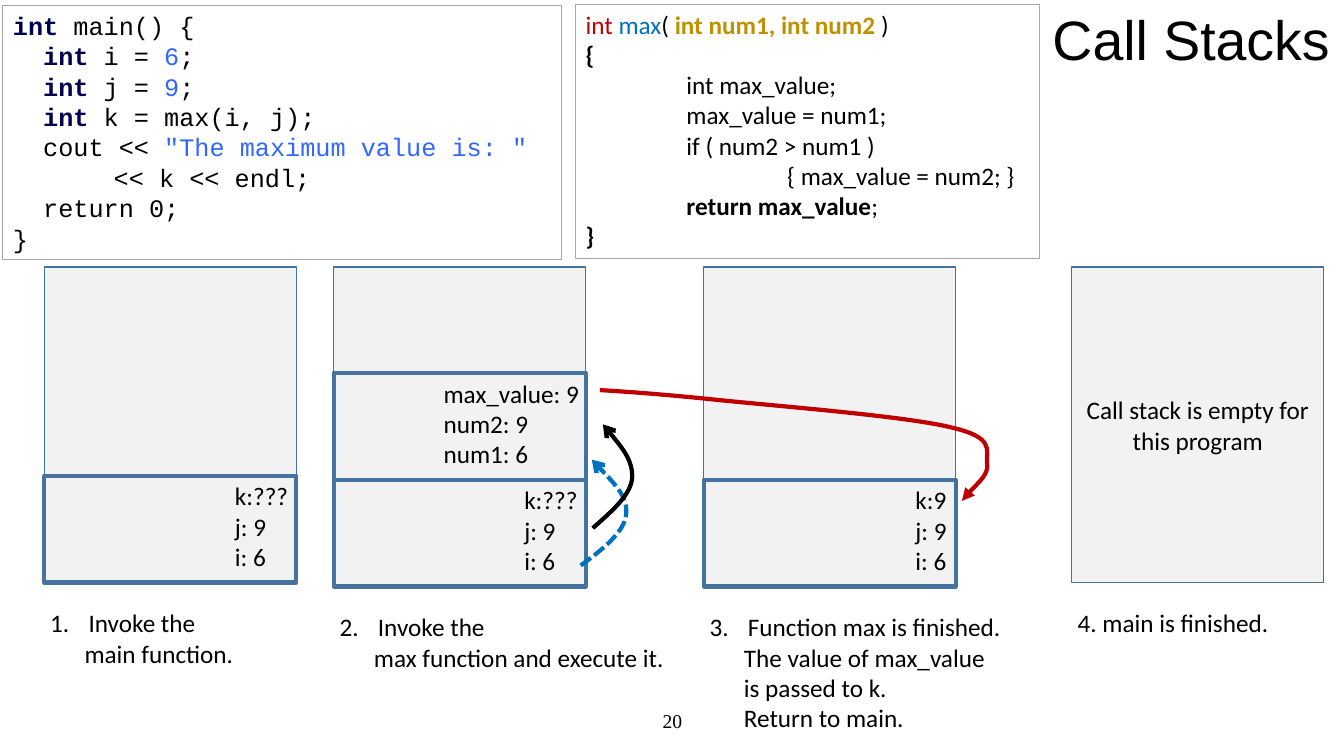
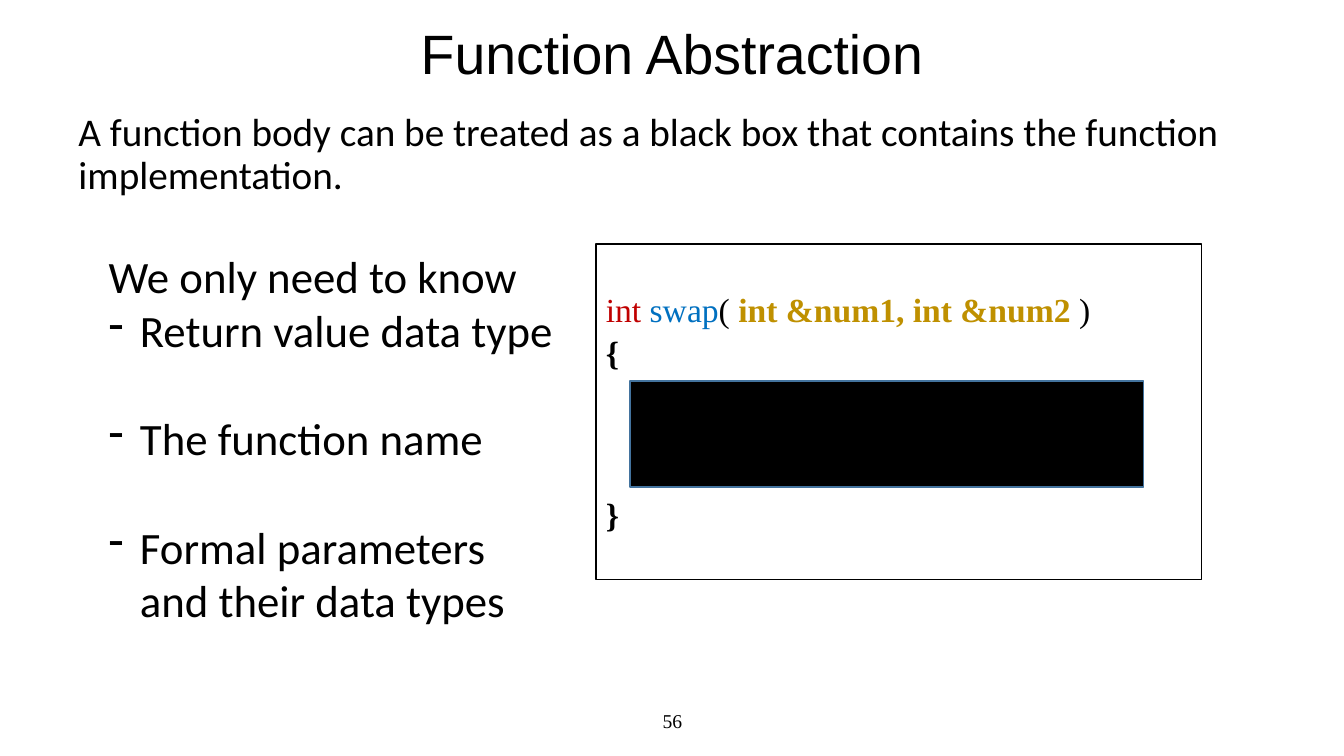
from collections import namedtuple

from lxml.etree import SubElement
from pptx import Presentation
from pptx.dml.color import RGBColor
from pptx.enum.dml import MSO_LINE
from pptx.enum.shapes import MSO_SHAPE
from pptx.enum.text import MSO_ANCHOR, PP_ALIGN
from pptx.oxml.ns import qn
from pptx.util import Inches, Pt

BLACK = RGBColor(0x00, 0x00, 0x00)
NAVY = RGBColor(0x00, 0x00, 0x50)
LITERAL = RGBColor(0x33, 0x66, 0xFF)
RED = RGBColor(0xC0, 0x00, 0x00)
BLUE = RGBColor(0x00, 0x70, 0xC0)
GOLD = RGBColor(0xBF, 0x90, 0x00)
PALE = RGBColor(0xF2, 0xF2, 0xF2)
GREY = RGBColor(0xA6, 0xA6, 0xA6)
STEEL = RGBColor(0x43, 0x73, 0x9E)

SANS, SERIF, MONO, TITLE = "Calibri", "Times New Roman", "Courier New", "Arial"
WIDTH, HEIGHT = 13.33, 7.5
FRAME_H = 1.06
STACK_W, STACK_TOP = 2.5, 2.65

Box = namedtuple("Box", "x y w h")
Para = namedtuple("Para", "runs indent hang bullet before", defaults=(0, 0, None, 0))


def emu(box):
    return [Inches(v) for v in box]


def write(tf, paras, font, size, align=PP_ALIGN.LEFT, spacing=None):
    """Fill a text frame; a run is a string or a (text, colour, bold) tuple."""
    for i, para in enumerate(paras):
        if isinstance(para, str):
            para = Para([para])
        p = tf.paragraphs[0] if i == 0 else tf.add_paragraph()
        p.alignment = align
        p.line_spacing = spacing
        p.space_before = Pt(para.before)
        pPr = p._p.get_or_add_pPr()
        pPr.set("marL", str(Inches(para.indent)))
        pPr.set("indent", str(-Inches(para.hang)))
        if isinstance(para.bullet, int):
            SubElement(pPr, qn("a:buAutoNum"), type="arabicPeriod", startAt=str(para.bullet))
        elif para.bullet:
            SubElement(pPr, qn("a:buChar"), char=para.bullet)
        for run in para.runs:
            text, color, bold = (run, BLACK, False) if isinstance(run, str) else run
            r = p.add_run()
            r.text = text
            r.font.name, r.font.size, r.font.bold = font, Pt(size), bold
            r.font.color.rgb = color


def add_text(s, box, paras, font, size, anchor=MSO_ANCHOR.TOP, wrap=True, **style):
    tf = s.shapes.add_textbox(*emu(box)).text_frame
    tf.word_wrap = wrap
    tf.vertical_anchor = anchor
    write(tf, paras, font, size, **style)


def add_rect(s, box, line, weight, fill=None, anchor=MSO_ANCHOR.TOP):
    sp = s.shapes.add_shape(MSO_SHAPE.RECTANGLE, *emu(box))
    sp.shadow.inherit = False
    if fill is None:
        sp.fill.background()
    else:
        sp.fill.solid()
        sp.fill.fore_color.rgb = fill
    sp.line.color.rgb = line
    sp.line.width = Pt(weight)
    sp.text_frame.word_wrap = True
    sp.text_frame.vertical_anchor = anchor
    return sp


def add_curve(s, points, color, head, dash=None):
    """Draw a Bezier arrow: a start point, then three points per segment."""
    pts = [(Inches(x), Inches(y)) for x, y in points]
    builder = s.shapes.build_freeform(*pts[0], scale=1.0)
    builder.add_line_segments(pts[1:], close=False)
    sp = builder.convert_to_shape()
    sp.shadow.inherit = False
    sp.fill.background()
    sp.line.color.rgb = color
    sp.line.width = Pt(3)
    if dash:
        sp.line.dash_style = dash
    SubElement(sp.element.find(".//" + qn("a:ln")), qn("a:tailEnd"), type=head)
    outline = sp.element.find(".//" + qn("a:path"))
    steps = outline.findall(qn("a:lnTo"))
    for i in range(0, len(steps), 3):
        cubic = SubElement(outline, qn("a:cubicBezTo"))
        for step in steps[i:i + 3]:
            cubic.append(step[0])
            outline.remove(step)


def add_slide(prs, title, title_box, number, align=PP_ALIGN.LEFT):
    s = prs.slides.add_slide(prs.slide_layouts[6])
    add_text(s, Box(4.42, 6.95, 4.5, 0.4), [str(number)], SERIF, 14,
             MSO_ANCHOR.MIDDLE, align=PP_ALIGN.CENTER)
    add_text(s, title_box, [title], TITLE, 39.6, MSO_ANCHOR.MIDDLE,
             wrap=align == PP_ALIGN.CENTER, align=align, spacing=0.9)
    return s


def signature(name, params):
    return [("int ", RED, False), (name, BLUE, False), "( ", (params, GOLD, True), ")"]


def bold(text):
    return (text, BLACK, True)


def add_main_code(s, box):
    kw = ("int", NAVY, True)
    tab = 0.3
    code = [
        Para([kw, " main() {"]),
        Para([kw, " i = ", ("6", LITERAL, False), ";"], tab),
        Para([kw, " j = ", ("9", LITERAL, False), ";"], tab),
        Para([kw, " k = max(i, j);"], tab),
        Para(["cout << ", ('"The maximum value is: "', LITERAL, False)], tab),
        Para(["<< k << endl;"], 1),
        Para(["return 0;"], tab),
        "}",
    ]
    write(add_rect(s, box, GREY, 0.75).text_frame, code, MONO, 18, spacing=Pt(21.7))


def add_max_code(s, box):
    code = [
        Para(signature("max", "int num1, int num2 ")),
        Para([bold("{")]),
        Para(["int max_value;"], 1),
        Para(["max_value = num1;"], 1),
        Para(["if ( num2 > num1 )"], 1),
        Para(["{ max_value = num2; }"], 2),
        Para([bold("return max_value"), ";"], 1),
        Para([bold("}")]),
    ]
    write(add_rect(s, box, GREY, 0.75).text_frame, code, SANS, 18)


def add_stack(s, box, frames, caption, note=None):
    """Draw a call stack; frames are (label offset, lines) from the bottom up."""
    sp = add_rect(s, box, STEEL, 1, PALE, MSO_ANCHOR.MIDDLE)
    if note:
        write(sp.text_frame, [note], SANS, 18, PP_ALIGN.CENTER)
    bottom = box.y + box.h
    for level, (offset, lines) in enumerate(frames, 1):
        frame = Box(box.x, bottom - level * FRAME_H, box.w, FRAME_H)
        tf = add_rect(s, frame, STEEL, 3, PALE).text_frame
        tf.margin_left, tf.margin_right = Inches(offset), 0
        write(tf, lines, SANS, 18)
    add_text(s, Box(box.x - 0.04, bottom + 0.2, 3.5, 0.3 * len(caption) + 0.1),
             caption, SANS, 18, wrap=False)


def numbered(number, first, *rest):
    return [Para([first], 0.38, 0.38, number)] + [Para([t], 0.34) for t in rest]


def build_call_stacks(prs):
    s = add_slide(prs, "Call Stacks", Box(10.34, 0.05, 2.99, 0.75), 20)
    add_main_code(s, Box(0.03, 0.05, 5.54, 2.52))
    add_max_code(s, Box(5.71, 0.04, 4.6, 2.52))

    main_frame = (1.89, ["k:???", "j: 9", "i: 6"])
    max_frame = (1.09, ["max_value: 9", "num2: 9", "num1: 6"])
    done_frame = (2.1, ["k:9", "j: 9", "i: 6"])
    stacks = [
        (0.44, 3.13, [main_frame], numbered(1, "Invoke the", "main function."), None),
        (3.31, 3.17, [main_frame, max_frame],
         numbered(2, "Invoke the", "max function and execute it."), None),
        (6.98, 3.17, [done_frame],
         numbered(3, "Function max is finished.", "The value of max_value",
                  "is passed to k.", "Return to main."), None),
        (10.63, 3.13, [], ["4. main is finished."],
         "Call stack is empty for this program"),
    ]
    for x, h, frames, caption, note in stacks:
        add_stack(s, Box(x, STACK_TOP, STACK_W, h), frames, caption, note)

    add_curve(s, [(5.76, 5.61), (5.98, 5.45), (6.19, 5.28), (6.21, 5.11),
                  (6.23, 4.93), (6.05, 4.75), (5.87, 4.56)],
              BLUE, "arrow", MSO_LINE.SQUARE_DOT)
    add_curve(s, [(5.88, 5.24), (6.06, 5.08), (6.25, 4.92), (6.27, 4.75),
                  (6.28, 4.57), (6.13, 4.39), (5.98, 4.21)], BLACK, "arrow")
    add_curve(s, [(5.95, 3.87), (6.26, 3.89), (6.56, 3.91), (7.14, 3.97),
                  (7.72, 4.03), (8.99, 4.13), (9.43, 4.24),
                  (9.87, 4.34), (9.78, 4.46), (9.79, 4.59),
                  (9.81, 4.71), (9.64, 4.84), (9.54, 4.97)], RED, "triangle")


def add_black_box(s, box):
    code = [
        Para(signature("swap", "int &num1, int &num2 ")),
        Para([bold("{")], before=2),
        Para([bold("}")], before=87),
    ]
    sp = add_rect(s, box, BLACK, 1, anchor=MSO_ANCHOR.MIDDLE)
    write(sp.text_frame, code, SERIF, 24)
    add_rect(s, Box(box.x + 0.34, box.y + 1.36, 5.09, 1.05), STEEL, 1, BLACK)


def add_needs(s, box):
    items = ["Return value data type", "The function name",
             "Formal parameters and their data types"]
    paras = ["We only need to know"]
    paras += [Para([t], 0.31, 0.31, "-", 39 if i else 0) for i, t in enumerate(items)]
    add_text(s, box, paras, SANS, 32)


def build_function_abstraction(prs):
    s = add_slide(prs, "Function Abstraction", Box(0, 0.19, WIDTH, 0.75), 56,
                  PP_ALIGN.CENTER)
    intro = ("A function body can be treated as a black box that contains "
             "the function implementation.")
    add_text(s, Box(0.68, 1.07, 11.91, 1.75), [Para([intro], before=10)],
             SANS, 28, spacing=0.9)
    add_black_box(s, Box(5.91, 2.42, 6.01, 3.33))
    add_needs(s, Box(0.98, 2.42, 4.62, 3.87))


def main():
    prs = Presentation()
    prs.slide_width, prs.slide_height = Inches(WIDTH), Inches(HEIGHT)
    build_call_stacks(prs)
    build_function_abstraction(prs)
    prs.save("out.pptx")


if __name__ == "__main__":
    main()
